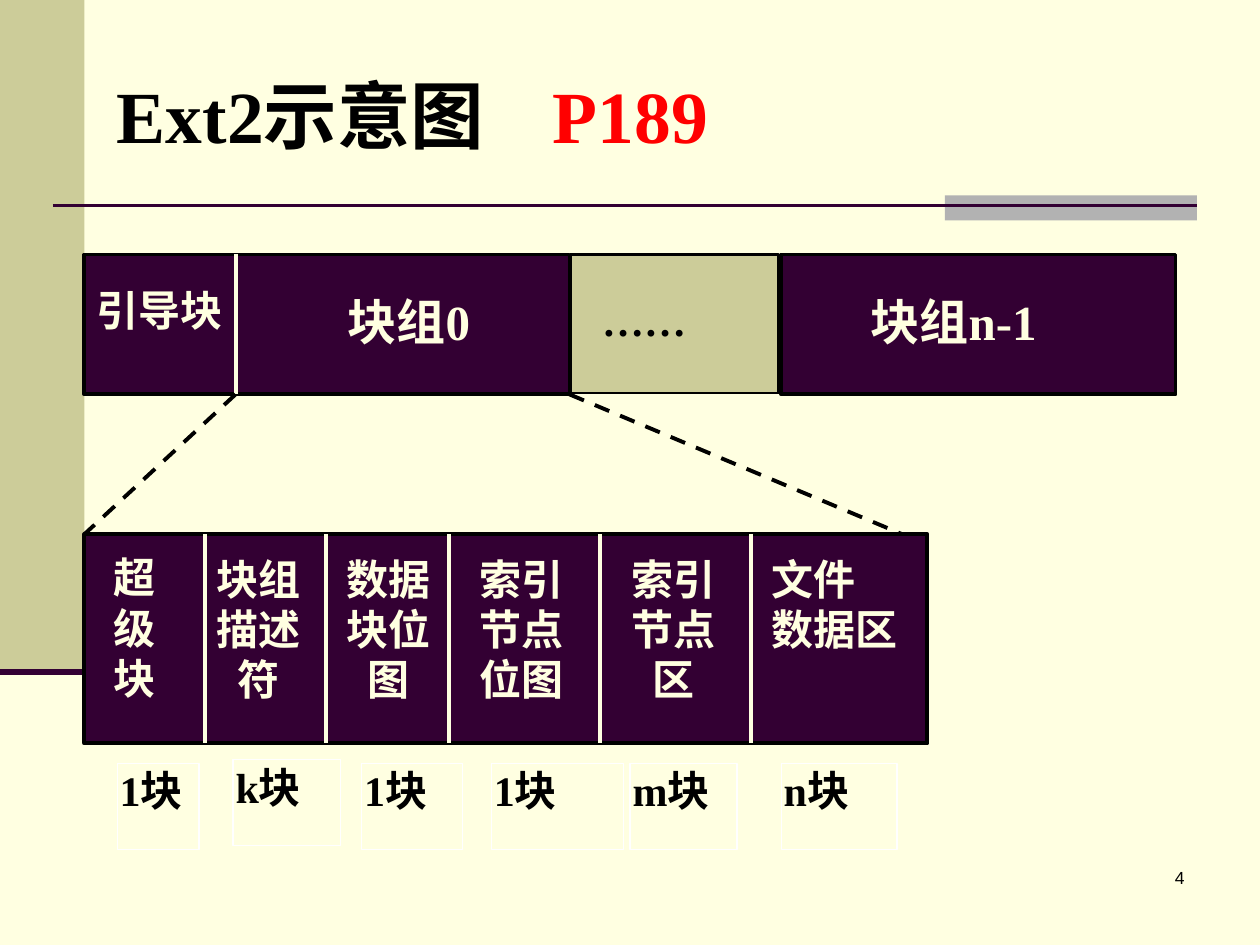
import pptx
import pptx.util
import pptx.dml.color
import pptx.enum.dml
import pptx.enum.shapes
import pptx.enum.text
import pptx.oxml
import pptx.oxml.ns
from pptx.util import Inches

ALIGN = pptx.enum.text.PP_ALIGN
THEME = {
    "cream": "FFFFE1", "khaki": "CCCC99", "gray": "B2B2B2", "plum": "330033",
    "black": "000000", "white": "FFFFFF", "red": "FF0000",
    "serif": "Times New Roman", "sans": "Arial",
    "title": 42, "group": 28, "body": 24, "number": 10,
}


def color(name):
    return pptx.dml.color.RGBColor.from_string(THEME[name])


def add_box(place, fill=None, line=None, width=0.75, lines=(), size="body", ink="cream",
            align=ALIGN.JUSTIFY, insets=(0.02, 0.01), font="serif", bold=True):
    shape = slide.shapes.add_shape(pptx.enum.shapes.MSO_SHAPE.RECTANGLE, *map(Inches, place))
    shape.shadow.inherit = False
    if fill:
        shape.fill.solid()
        shape.fill.fore_color.rgb = color(fill)
    else:
        shape.fill.background()
    if line:
        shape.line.color.rgb = color(line)
        shape.line.width = pptx.util.Pt(width)
    else:
        shape.line.fill.background()
    frame = shape.text_frame
    frame.word_wrap = True
    frame.vertical_anchor = pptx.enum.text.MSO_ANCHOR.TOP
    frame.margin_left = frame.margin_right = Inches(insets[0])
    frame.margin_top = frame.margin_bottom = Inches(insets[1])
    for index, text in enumerate(lines):
        paragraph = frame.add_paragraph() if index else frame.paragraphs[0]
        paragraph.alignment = align
        run = paragraph.add_run()
        run.text = text
        run.font.name = THEME[font]
        run.font.size = pptx.util.Pt(THEME[size])
        run.font.bold = bold
        run.font.color.rgb = color(ink)
    return shape


def add_line(start, end, ink, width, dashed=False):
    connector = slide.shapes.add_connector(
        pptx.enum.shapes.MSO_CONNECTOR.STRAIGHT, *map(Inches, start + end))
    connector.line.color.rgb = color(ink)
    connector.line.width = pptx.util.Pt(width)
    if dashed:
        connector.line.dash_style = pptx.enum.dml.MSO_LINE.DASH
    pptx.oxml.ns.qn("a:effectLst")
    properties = connector._element.spPr
    properties.append(properties.makeelement(pptx.oxml.ns.qn("a:effectLst"), {}))


presentation = pptx.Presentation()
presentation.slide_width = Inches(10)
presentation.slide_height = Inches(7.5)
slide = presentation.slides.add_slide(presentation.slide_layouts[6])
slide.background.fill.solid()
slide.background.fill.fore_color.rgb = color("cream")

LEFT = 0.67
DISK_TOP, DISK_BOTTOM = 2.02, 3.13
GROUP_TOP, GROUP_BOTTOM = 4.24, 5.9
DISK_HEIGHT = DISK_BOTTOM - DISK_TOP
BOOT_END, GROUP_END = 1.87, 4.52

add_box((0, 0, LEFT, 5.33), "khaki")
add_box((7.5, 1.55, 2, 0.2), "gray")
add_line((0.42, 1.63), (9.5, 1.63), "plum", 1.5)
add_line((0, 5.33), (LEFT, 5.33), "plum", 3.5)
add_box((7.42, 6.83, 2.08, 0.5), lines=["4"], size="number", ink="black",
        align=ALIGN.RIGHT, insets=(0.1, 0.05), font="sans", bold=False)

title = add_box((0.83, 0.28, 8.5, 1.25), lines=["Ext2示意图\t"], size="title", ink="black",
                align=ALIGN.LEFT, insets=(0.1, 0.05))
title.text_frame.vertical_anchor = pptx.enum.text.MSO_ANCHOR.MIDDLE
paragraph = title.text_frame.paragraphs[0]
properties = paragraph._p.get_or_add_pPr()
tabs = properties.makeelement(pptx.oxml.ns.qn("a:tabLst"), {})
tabs.append(tabs.makeelement(pptx.oxml.ns.qn("a:tab"), {"pos": str(Inches(3.46)), "algn": "l"}))
properties.append(tabs)
page = paragraph.add_run()
page.text = "P189"
page.font.name = THEME["serif"]
page.font.size = pptx.util.Pt(THEME["title"])
page.font.bold = True
page.font.color.rgb = color("red")

for left, right in ((LEFT, GROUP_END), (6.2, 9.33)):
    add_box((left, DISK_TOP, right - left, DISK_HEIGHT), "plum", "black", 2.25)
for place, text, size in (
    ((0.75, 2.25, 1.1, 0.6), "引导块", "body"),
    ((2.74, 2.3, 1.31, 0.7), "块组0", "group"),
    ((6.89, 2.3, 1.58, 0.56), "块组n-1", "group"),
):
    add_box(place, "plum", "plum", lines=[text], size=size)
add_line((BOOT_END, DISK_TOP), (BOOT_END, DISK_BOTTOM), "cream", 2.25)
add_box((4.53, DISK_TOP, 1.65, 1.1), "khaki", "black", 1.5)
add_box((4.76, 2.33, 1.2, 0.56), lines=["……"], ink="black")

for left, top, width, text in (
    (0.93, 6.06, 0.65, "1块"), (1.85, 6.03, 0.85, "k块"), (2.87, 6.06, 0.8, "1块"),
    (3.9, 6.06, 1.05, "1块"), (5, 6.06, 0.85, "m块"), (6.2, 6.06, 0.92, "n块"),
):
    add_box((left, top, width, 0.68), line="white", lines=[text], ink="black")

add_box((LEFT, GROUP_TOP, 6.69, GROUP_BOTTOM - GROUP_TOP), "plum", "black", 2.25)
for left, width, height, lines, align, insets in (
    (0.9, 0.55, 1.42, ["超", "级", "块"], ALIGN.JUSTIFY, (0, 0)),
    (1.69, 0.72, 1.35, ["块组描述", "符"], ALIGN.CENTER, (0.02, 0.01)),
    (2.61, 0.94, 1.36, ["数据块位图"], ALIGN.CENTER, (0.02, 0.01)),
    (3.66, 0.96, 1.26, ["索引节点位图"], ALIGN.CENTER, (0.02, 0.01)),
    (4.92, 0.85, 1.28, ["索引节点区"], ALIGN.CENTER, (0.02, 0.01)),
    (6.1, 1.18, 1.23, ["文件", "数据区"], ALIGN.JUSTIFY, (0.02, 0.01)),
):
    add_box((left, 4.38, width, height), "plum", "plum", lines=lines, align=align, insets=insets)
for x in (1.63, 2.59, 3.56, 4.76, 5.96):
    add_line((x, GROUP_TOP), (x, GROUP_BOTTOM), "cream", 2.25)

for start, end in ((BOOT_END, LEFT), (GROUP_END, 7.16)):
    add_line((start, DISK_BOTTOM), (end, GROUP_TOP), "black", 2.25, dashed=True)

presentation.save("out.pptx")
